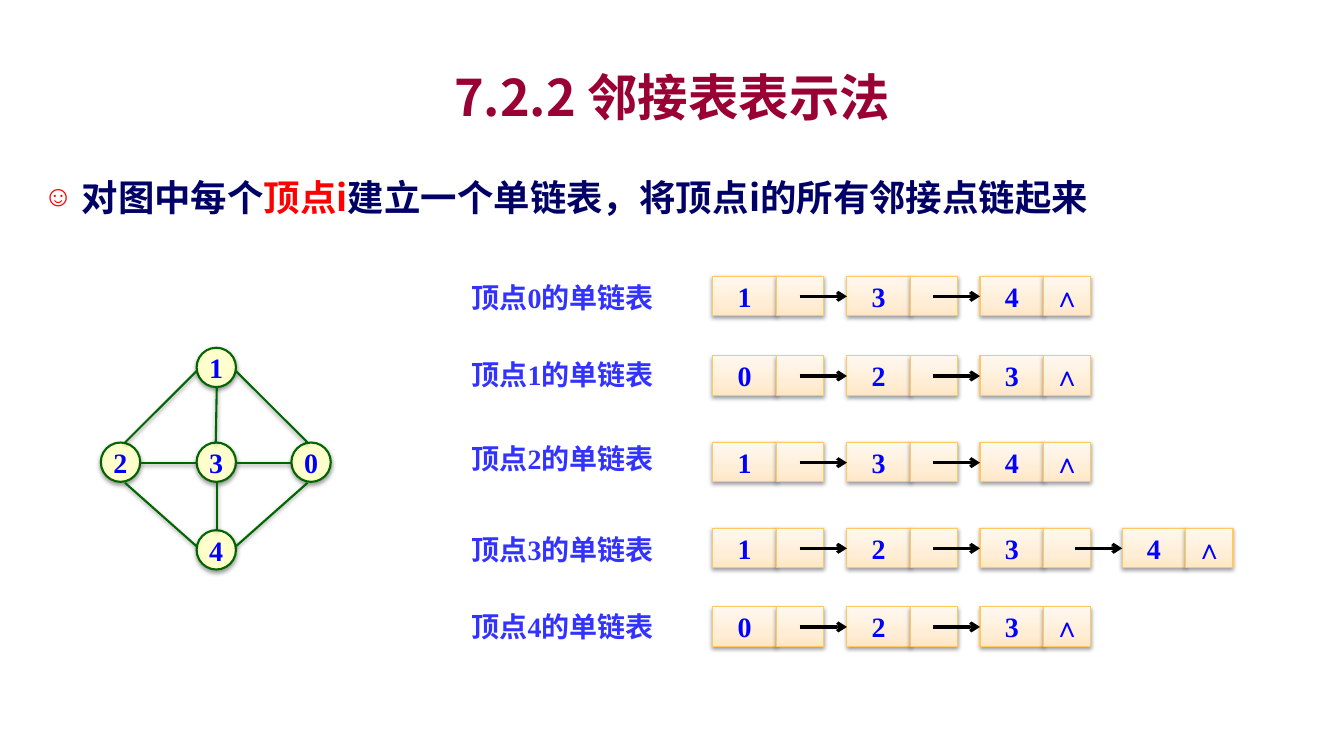
"""Builds the slide on adjacency lists: a graph and one linked list per vertex."""
from dataclasses import dataclass

from lxml import etree
from pptx import Presentation
from pptx.dml.color import RGBColor
from pptx.enum.shapes import MSO_CONNECTOR, MSO_SHAPE
from pptx.enum.text import MSO_ANCHOR, MSO_AUTO_SIZE, PP_ALIGN
from pptx.oxml.ns import qn
from pptx.util import Inches, Pt

OVAL, RECTANGLE = MSO_SHAPE.OVAL, MSO_SHAPE.RECTANGLE
STRAIGHT = MSO_CONNECTOR.STRAIGHT
MIDDLE, CENTER = MSO_ANCHOR.MIDDLE, PP_ALIGN.CENTER
NO_AUTOFIT = MSO_AUTO_SIZE.NONE


@dataclass(frozen=True)
class Theme:
    heading_font: str = "Noto Sans CJK SC"
    diagram_font: str = "Times New Roman"
    title_size: int = 36
    body_size: int = 26
    diagram_size: int = 20
    title: str = "990033"
    body: str = "000066"
    accent: str = "FF0000"
    label: str = "3333FF"
    value: str = "0000FF"
    vertex_fill: str = "FFFFCC"
    edge: str = "006600"
    cell_line: str = "FDC960"
    cell_stops: tuple = ((0, "FFE7C6"), (35, "FFEED7"), (100, "FFF8F0"))
    arrow: str = "000000"
    shadow: str = "000000"


def add_element(parent, tag, **attributes):
    return etree.SubElement(parent, qn(tag), {key: str(value) for key, value in attributes.items()})


def write(para, text, *, font, size, color):
    span = para.add_run()
    span.text = text
    span.font.name = font
    span.font.size = Pt(size)
    span.font.bold = True
    span.font.color.rgb = RGBColor.from_string(color)
    add_element(span.font._element, "a:ea", typeface=Theme.heading_font)


class SlideBuilder:
    def __init__(self, deck, theme):
        self.theme = theme
        self.page = deck.slides.add_slide(deck.slide_layouts[1])
        self.shapes = self.page.shapes

    def start_group(self):
        self.shapes = self.page.shapes.add_group_shape().shapes

    def place(self, box, left, top, width, height):
        box.left, box.top = Inches(left), Inches(top)
        box.width, box.height = Inches(width), Inches(height)
        box.text_frame.auto_size = NO_AUTOFIT

    def title(self, text):
        box = self.page.shapes.title
        self.place(box, 1, 0.58, 11.33, 0.75)
        box.text_frame.vertical_anchor = MIDDLE
        para = box.text_frame.paragraphs[0]
        para.alignment = CENTER
        write(para, text, font=self.theme.heading_font, size=self.theme.title_size,
              color=self.theme.title)

    def bullet(self, parts):
        box = self.page.placeholders[1]
        self.place(box, 0.33, 1.47, 12.67, 0.83)
        para = box.text_frame.paragraphs[0]
        properties = para._p.get_or_add_pPr()
        properties.set("marL", str(Inches(0.38)))
        properties.set("indent", str(Inches(-0.38)))
        add_element(add_element(properties, "a:buClr"), "a:srgbClr", val=self.theme.accent)
        add_element(properties, "a:buSzPct", val=80000)
        add_element(properties, "a:buChar", char="☺")
        para.line_spacing = 1.5
        para.space_before, para.space_after = Pt(0), Pt(6)
        for text, color in parts:
            write(para, text, font=self.theme.heading_font, size=self.theme.body_size, color=color)

    def add_shadow(self, effects):
        shadow = add_element(effects, "a:outerShdw", blurRad=Pt(3.1), dist=Pt(1.6),
                             dir=5400000, rotWithShape=0)
        color = add_element(shadow, "a:srgbClr", val=self.theme.shadow)
        add_element(color, "a:alpha", val=38000)

    def box(self, kind, left, top, width, height, text, line, weight):
        box = self.shapes.add_shape(kind, Inches(left), Inches(top), Inches(width), Inches(height))
        box.line.color.rgb = RGBColor.from_string(line)
        box.line.width = Pt(weight)
        box.shadow.inherit = False
        self.add_shadow(box._element.spPr.find(qn("a:effectLst")))
        if text:
            frame = box.text_frame
            frame.word_wrap = False
            frame.vertical_anchor = MIDDLE
            frame.paragraphs[0].alignment = CENTER
            write(frame.paragraphs[0], text, font=self.theme.diagram_font,
                  size=self.theme.diagram_size, color=self.theme.value)
        return box

    def vertex(self, text, left, top):
        box = self.box(OVAL, left, top, 0.39, 0.39, text, self.theme.edge, 1.5)
        box.fill.solid()
        box.fill.fore_color.rgb = RGBColor.from_string(self.theme.vertex_fill)

    def cell(self, left, top, width, text):
        box = self.box(RECTANGLE, left, top, width, 0.39, text, self.theme.cell_line, 0.75)
        box.fill.gradient()
        box.fill.gradient_angle = 90
        stops = box._element.spPr.find(qn("a:gradFill")).find(qn("a:gsLst"))
        stops.clear()
        for percent, color in self.theme.cell_stops:
            add_element(add_element(stops, "a:gs", pos=percent * 1000), "a:srgbClr", val=color)

    def line(self, start, end, color, weight):
        line = self.shapes.add_connector(STRAIGHT, *map(Inches, start + end))
        line.line.color.rgb = RGBColor.from_string(color)
        line.line.width = Pt(weight)
        return line, add_element(line._element.spPr, "a:effectLst")

    def edge(self, start, end):
        _, effects = self.line(start, end, self.theme.edge, 1.5)
        self.add_shadow(effects)

    def arrow(self, start, end):
        line, _ = self.line(start, end, self.theme.arrow, 2.25)
        add_element(line.line._get_or_add_ln(), "a:tailEnd", type="arrow")

    def label(self, text, top):
        box = self.shapes.add_textbox(Inches(4.33), Inches(top), Inches(2.5), Inches(0.44))
        box.text_frame.word_wrap = True
        para = box.text_frame.paragraphs[0]
        para.alignment = CENTER
        write(para, text, font=self.theme.diagram_font, size=self.theme.diagram_size,
              color=self.theme.label)

    def linked_list(self, name, values, top, label_top):
        self.start_group()
        lefts = (7.07, 8.4, 9.72, 11.13)[:len(values)]
        for left, value in zip(lefts, values):
            self.cell(left, top, 0.63, value)
            self.cell(left + 0.63, top, 0.47, "∧" if left == lefts[-1] else "")
        for left in lefts[1:]:
            self.arrow((left - 0.47, top + 0.2), (left, top + 0.2))
        self.label(name, label_top)


VERTICES = (("1", 1.95, 3.45), ("3", 1.95, 4.39), ("2", 1, 4.39), ("0", 2.89, 4.39),
            ("4", 1.95, 5.26))
EDGES = (
    ((1.95, 3.68), (1.24, 4.39)), ((2.34, 3.68), (3.05, 4.39)),
    ((1.4, 4.59), (1.95, 4.59)), ((2.33, 4.59), (2.89, 4.59)),
    ((2.15, 3.84), (2.14, 4.39)), ((1.24, 4.79), (1.95, 5.42)),
    ((2.15, 4.79), (2.15, 5.26)), ((3.05, 4.79), (2.34, 5.42)),
)
LISTS = (("134", 2.74, 2.73), ("023", 3.53, 3.5), ("134", 4.39, 4.33),
         ("1234", 5.24, 5.23), ("023", 6.02, 6))


def main():
    deck = Presentation()
    deck.slide_width, deck.slide_height = Inches(13.33), Inches(7.5)
    theme = Theme()
    slide = SlideBuilder(deck, theme)
    slide.title("7.2.2 邻接表表示法")
    slide.bullet((("对图中每个", theme.body), ("顶点i", theme.accent),
                  ("建立一个单链表，将顶点i的所有邻接点链起来", theme.body)))
    slide.start_group()
    for vertex in VERTICES:
        slide.vertex(*vertex)
    for edge in EDGES:
        slide.edge(*edge)
    for number, (values, top, label_top) in enumerate(LISTS):
        slide.linked_list(f"顶点{number}的单链表", values, top, label_top)
    deck.save("out.pptx")


if __name__ == "__main__":
    main()
